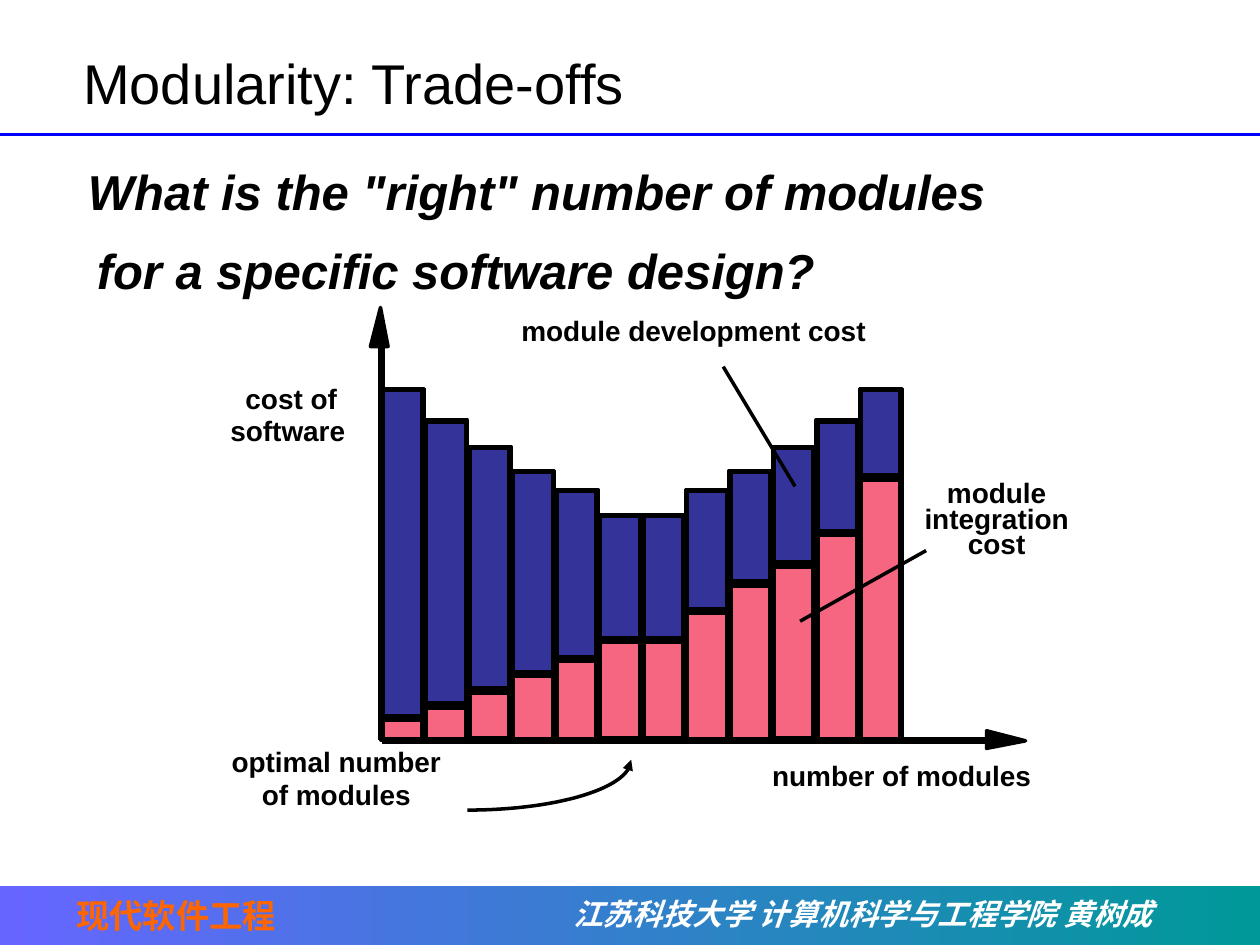
import math

import pptx
import pptx.dml.color
import pptx.enum.shapes
import pptx.enum.text
import pptx.oxml.ns
import pptx.util
from lxml import etree

Inches = pptx.util.Inches
SHAPES = pptx.enum.shapes.MSO_SHAPE
ALIGN = pptx.enum.text.PP_ALIGN
ANCHOR = pptx.enum.text.MSO_ANCHOR

# Content
TITLE = "Modularity: Trade-offs"
QUESTION = [
    ('What is the "right" number of modules', (0.6, 1.23, 7.6, 0.56)),
    ("for a specific software design?", (0.67, 1.86, 7.01, 0.56)),
]
LABELS = [
    ("optimal number", (1.74, 5.86, 2, 0.36)),
    ("of modules", (1.98, 6.12, 1.5, 0.36)),
    ("cost of", (1.85, 2.98, 1.1, 0.36)),
    ("software", (1.73, 3.23, 1.25, 0.36)),
    ("number of modules", (6.03, 5.97, 2.4, 0.36)),
    ("module development cost", (4.04, 2.44, 3.1, 0.36)),
]
INTEGRATION_LABEL = ("module\nintegration\ncost", (7.14, 3.79, 1.54, 0.7))
COURSE = ("现代软件工程", (0.51, 7.06, 2.95, 0.42))
AFFILIATION = ("江苏科技大学 计算机科学与工程学院 黄树成", (4.45, 7.06, 5.12, 0.39))

# Top of the development part and top of the integration part of each bar
BARS = [
    (3.10, 5.72), (3.35, 5.62), (3.56, 5.50), (3.75, 5.37),
    (3.90, 5.25), (4.10, 5.10), (4.10, 5.10), (3.90, 4.87),
    (3.75, 4.65), (3.56, 4.50), (3.35, 4.25), (3.10, 3.81),
]
BAR_LEFT, BAR_PITCH, BAR_WIDTH, BASELINE = 3.04, 0.345, 0.31, 5.86
PART_GAP, FRAME_MARGIN = 0.04, 0.015

AXES = [((3.03, 5.88), (7.82, 5.88)), ((3.03, 5.87), (3.03, 2.73))]
AXIS_HEADS = [
    [(8.14, 5.88), (7.83, 5.94), (7.83, 5.8)],
    [(3.02, 2.44), (3.08, 2.75), (2.94, 2.75)],
]
LEADERS = [((5.74, 2.91), (6.31, 3.86)), ((7.35, 4.37), (6.35, 4.93))]
CURVE_CENTER, CURVE_RADII, CURVE_STEPS = (3.71, 6.03), (1.3, 0.4), 30

THEME = {
    "font": "Arial", "footer_font": "Times New Roman",
    "black": "000000", "white": "FFFFFF", "rule": "0000FF",
    "development": "333399", "integration": "F76681", "course": "FF6600",
    "footer": ("6666FF", "009999"),
    "title_size": 32, "question_size": 28, "label_size": 16,
    "course_size": 19, "affiliation_size": 17,
    "thin": 2, "axis": 4, "rule_width": 1.5,
}


def color(name):
    return pptx.dml.color.RGBColor.from_string(THEME.get(name, name))


def set_line(line, name="black", width="thin"):
    line.color.rgb = color(name)
    line.width = pptx.util.Pt(THEME[width])


def write(shape, text, size="label_size", ink="black", font="font", bold=True,
          italic=False, align=ALIGN.LEFT, spacing=None, anchor=ANCHOR.TOP,
          insets=(0.1, 0.05)):
    frame = shape.text_frame
    frame.word_wrap = True
    frame.vertical_anchor = anchor
    frame.margin_left = frame.margin_right = Inches(insets[0])
    frame.margin_top = frame.margin_bottom = Inches(insets[1])
    frame.text = text
    for paragraph in frame.paragraphs:
        paragraph.alignment = align
        if spacing:
            paragraph.line_spacing = spacing
        for run in paragraph.runs:
            run.font.name = THEME[font]
            run.font.size = pptx.util.Pt(THEME[size])
            run.font.bold, run.font.italic = bold, italic
            run.font.color.rgb = color(ink)


def add_text(slide, text, box, **style):
    write(slide.shapes.add_textbox(*map(Inches, box)), text, **style)


def add_rectangle(slide, box, fill=None):
    shape = slide.shapes.add_shape(SHAPES.RECTANGLE, *map(Inches, box))
    shape.shadow.inherit = False
    if fill:
        shape.fill.solid()
        shape.fill.fore_color.rgb = color(fill)
    else:
        shape.fill.background()
    set_line(shape.line)
    return shape


def add_line(slide, start, end, **style):
    connector = slide.shapes.add_connector(
        pptx.enum.shapes.MSO_CONNECTOR.STRAIGHT, *map(Inches, start + end))
    set_line(connector.line, **style)
    etree.SubElement(connector._element.spPr, pptx.oxml.ns.qn("a:effectLst"))


def add_outline(slide, points, closed):
    corners = [(Inches(x), Inches(y)) for x, y in points]
    builder = slide.shapes.build_freeform(*corners[0])
    builder.add_line_segments(corners[1:], close=closed)
    shape = builder.convert_to_shape()
    shape.shadow.inherit = False
    set_line(shape.line)
    if closed:
        shape.fill.solid()
        shape.fill.fore_color.rgb = color("black")
    else:
        shape.fill.background()
    return shape


def add_bar_part(slide, left, top, bottom, fill):
    add_rectangle(slide, (left, top, BAR_WIDTH, bottom - top), fill)
    add_rectangle(slide, (left - FRAME_MARGIN, top - FRAME_MARGIN,
                          BAR_WIDTH + 2 * FRAME_MARGIN,
                          bottom - top + 2 * FRAME_MARGIN))


def main():
    presentation = pptx.Presentation()
    presentation.slide_width, presentation.slide_height = Inches(10), Inches(7.5)
    slide = presentation.slides.add_slide(presentation.slide_layouts[5])

    # Header rule and footer band
    add_line(slide, (0, 1.07), (10, 1.07), name="rule", width="rule_width")
    band = add_rectangle(slide, (0, 7.03, 10, 0.47))
    band.line.fill.background()
    band.fill.gradient()
    band.fill.gradient_angle = 0
    for stop, name, position in zip(band.fill.gradient_stops, THEME["footer"], (0, 1)):
        stop.color.rgb = color(name)
        stop.position = position
    add_text(slide, *AFFILIATION, size="affiliation_size", ink="white",
             font="footer_font", italic=True)
    add_text(slide, *COURSE, size="course_size", ink="course", font="footer_font")

    # Title and question
    title = slide.shapes.title
    title.left, title.top, title.width, title.height = map(
        Inches, (0.59, 0.36, 5.57, 0.59))
    write(title, TITLE, size="title_size", bold=False, anchor=ANCHOR.MIDDLE,
          insets=(0.07, 0.03))
    for text, box in QUESTION:
        add_text(slide, text, box, size="question_size", italic=True)

    # Stacked bars
    for index, (development_top, integration_top) in enumerate(BARS):
        left = BAR_LEFT + index * BAR_PITCH
        add_bar_part(slide, left, development_top, integration_top - PART_GAP,
                     "development")
        add_bar_part(slide, left, integration_top, BASELINE, "integration")

    # Axes
    for (start, end), head in zip(AXES, AXIS_HEADS):
        add_outline(slide, head, closed=True)
        add_line(slide, start, end, width="axis")

    # Labels and their leaders
    for text, box in LABELS:
        add_text(slide, text, box)
    add_text(slide, *INTEGRATION_LABEL, align=ALIGN.CENTER, spacing=0.75)
    for start, end in LEADERS:
        add_line(slide, start, end)

    # Curved arrow to the optimal number: a quarter of an ellipse
    angles = [math.pi / 2 * step / CURVE_STEPS for step in range(CURVE_STEPS + 1)]
    curve = add_outline(slide, [
        (CURVE_CENTER[0] + CURVE_RADII[0] * math.cos(angle),
         CURVE_CENTER[1] + CURVE_RADII[1] * math.sin(angle))
        for angle in angles], closed=False)
    etree.SubElement(curve.line._get_or_add_ln(), pptx.oxml.ns.qn("a:headEnd"),
                     type="triangle")

    presentation.save("out.pptx")


if __name__ == "__main__":
    main()
